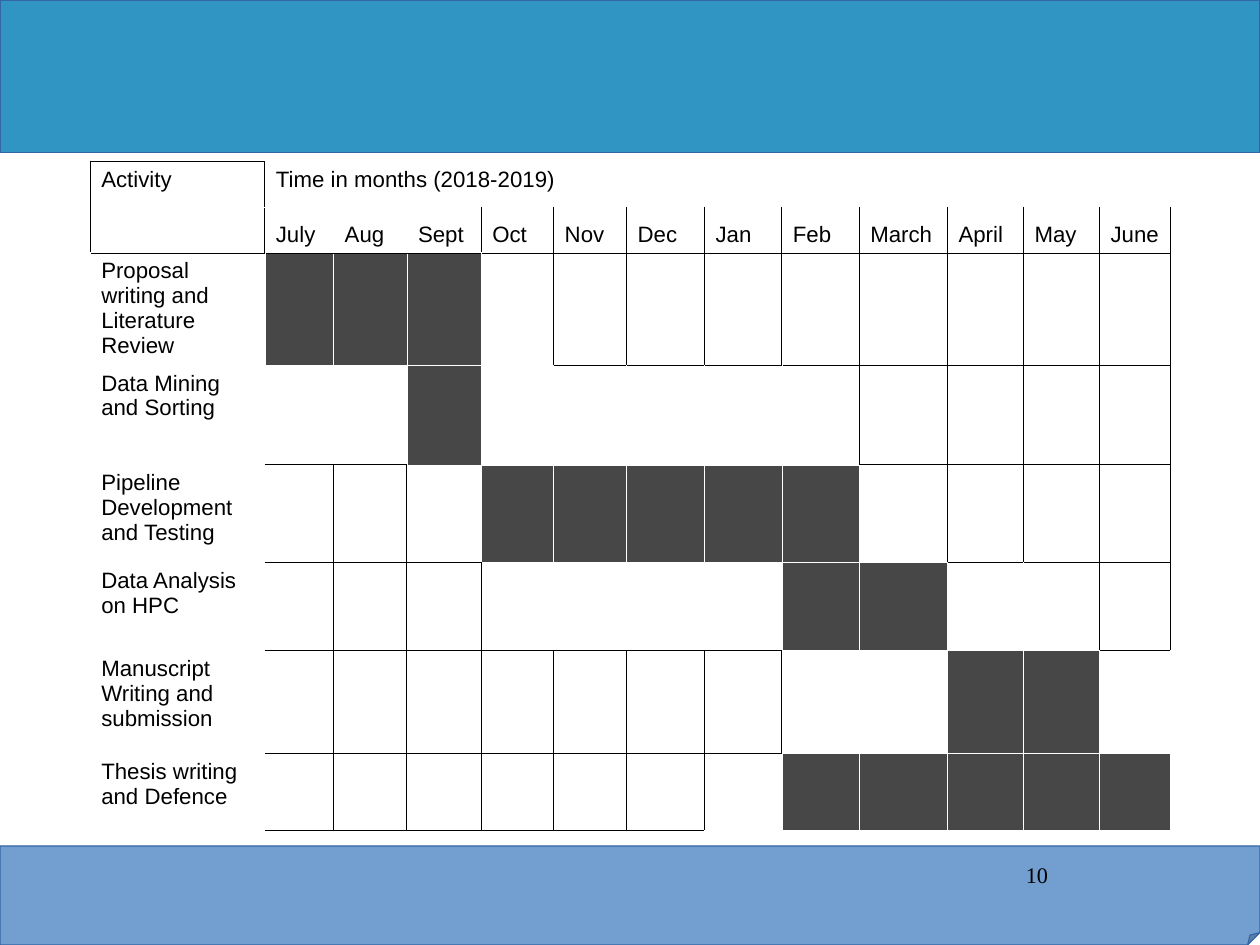
from pptx import Presentation
from pptx.dml.color import RGBColor
from pptx.enum.shapes import MSO_SHAPE as Preset
from pptx.enum.text import MSO_ANCHOR as Anchor, PP_ALIGN as Align
from pptx.oxml.ns import qn
from pptx.util import Cm, Pt
from lxml.etree import SubElement

BLACK = RGBColor(0x00, 0x00, 0x00)
WHITE = RGBColor(0xFF, 0xFF, 0xFF)
BUSY = RGBColor(0x47, 0x47, 0x47)
HEADER_BLUE = RGBColor(0x30, 0x95, 0xC3)
FOOTER_BLUE = RGBColor(0x72, 0x9F, 0xCF)
OUTLINE_BLUE = RGBColor(0x34, 0x65, 0xA4)

MONTHS = ["July", "Aug", "Sept", "Oct", "Nov", "Dec",
          "Jan", "Feb", "March", "April", "May", "June"]
# Each activity with its first and last month
ACTIVITIES = [
    ("Proposal writing and Literature Review", "July", "Sept"),
    ("Data Mining and Sorting", "Sept", "Sept"),
    ("Pipeline Development and Testing", "Oct", "Feb"),
    ("Data Analysis on HPC", "Feb", "March"),
    ("Manuscript Writing and submission", "April", "May"),
    ("Thesis writing and Defence", "Feb", "June"),
]
COLUMN_WIDTHS = [3.88, 1.53, 1.63, 1.65, 1.61, 1.62, 1.73,
                 1.72, 1.72, 1.96, 1.69, 1.69, 1.58]
ROW_HEIGHTS = [1.02, 1.02, 2.49, 2.22, 2.16, 1.96, 2.29, 1.71]

# Grid lines: a dot is a white edge, any other mark a black one
UPRIGHTS = [
    "||............",
    "||..||||||||||",
    ".....|||||||||",
    ".........|||||",
    "..||......||||",
    "..|||.......||",
    "..|||||||.....",
    "..||||||......",
]
LEVELS = [
    "-............",
    "-............",
    "-------------",
    ".....--------",
    ".--......----",
    ".---......---",
    ".-------....-",
    ".-------.....",
    ".------......",
]


def add_band(page, preset, top, height, color):
    band = page.shapes.add_shape(preset, 0, Cm(top), Cm(28), Cm(height))
    band.shadow.inherit = False
    band.fill.solid()
    band.fill.fore_color.rgb = color
    band.line.color.rgb = OUTLINE_BLUE
    band.line.width = Pt(0)
    return band


def set_fold(band, share):
    geometry = band.element.spPr.find(qn("a:prstGeom"))
    guides = geometry.find(qn("a:avLst"))
    for guide in list(guides):
        guides.remove(guide)
    SubElement(guides, qn("a:gd"), name="adj",
               fmla=f"val {round(share * 100000)}")


def set_edges(cell, row, column):
    marks = {
        "a:lnL": UPRIGHTS[row][column],
        "a:lnR": UPRIGHTS[row][column + 1],
        "a:lnT": LEVELS[row][column],
        "a:lnB": LEVELS[row + 1][column],
    }
    properties = cell._tc.get_or_add_tcPr()
    for tag, mark in marks.items():
        color, width = (WHITE, 0.06) if mark == "." else (BLACK, 0.57)
        edge = SubElement(properties, qn(tag), w=str(Pt(width)))
        fill = SubElement(edge, qn("a:solidFill"))
        SubElement(fill, qn("a:srgbClr"), val=str(color))


def write_cell(cell, text, anchor=Anchor.TOP):
    cell.text = text
    cell.vertical_anchor = anchor
    font = cell.text_frame.paragraphs[0].font
    font.name, font.size, font.color.rgb = "Arial", Pt(14), BLACK


def add_schedule(page):
    frame = page.shapes.add_table(
        len(ROW_HEIGHTS), len(COLUMN_WIDTHS), Cm(2), Cm(3.58),
        Cm(sum(COLUMN_WIDTHS)), Cm(sum(ROW_HEIGHTS)))
    table = frame.table
    table.first_row = table.horz_banding = False
    for column, width in zip(table.columns, COLUMN_WIDTHS):
        column.width = Cm(width)
    for row, height in zip(table.rows, ROW_HEIGHTS):
        row.height = Cm(height)

    # Plain cells with their grid lines
    for r in range(len(ROW_HEIGHTS)):
        for c in range(len(COLUMN_WIDTHS)):
            cell = table.cell(r, c)
            cell.margin_left = cell.margin_right = Cm(0.25)
            cell.margin_top = cell.margin_bottom = Cm(0.13)
            set_edges(cell, r, c)
            cell.fill.background()

    # Headings
    table.cell(0, 0).merge(table.cell(1, 0))
    table.cell(0, 1).merge(table.cell(0, len(MONTHS)))
    write_cell(table.cell(0, 0), "Activity")
    write_cell(table.cell(0, 1), "Time in months (2018-2019)")
    for c, month in enumerate(MONTHS, start=1):
        write_cell(table.cell(1, c), month, Anchor.BOTTOM)

    # Activities and their busy months
    for r, (activity, first, last) in enumerate(ACTIVITIES, start=2):
        write_cell(table.cell(r, 0), activity)
        for c in range(MONTHS.index(first) + 1, MONTHS.index(last) + 2):
            fill = table.cell(r, c).fill
            fill.solid()
            fill.fore_color.rgb = BUSY


def add_page_number(page, number):
    box = page.shapes.add_textbox(Cm(20.09), Cm(19.13), Cm(3.2), Cm(1.45))
    text = box.text_frame
    text.word_wrap = True
    text.margin_left = text.margin_right = 0
    text.margin_top = text.margin_bottom = 0
    para = text.paragraphs[0]
    para.text = number
    para.alignment = Align.RIGHT
    font = para.font
    font.name, font.size, font.color.rgb = "Times New Roman", Pt(14), BLACK


def main():
    deck = Presentation()
    deck.slide_width, deck.slide_height = Cm(28), Cm(21)
    page = deck.slides.add_slide(deck.slide_layouts[6])

    # Footer and header bands
    footer = add_band(page, Preset.FOLDED_CORNER, 18.8, 2.2, FOOTER_BLUE)
    set_fold(footer, 0.125)
    add_band(page, Preset.RECTANGLE, 0, 3.4, HEADER_BLUE)

    add_schedule(page)
    add_page_number(page, "10")
    deck.save("out.pptx")


if __name__ == "__main__":
    main()
